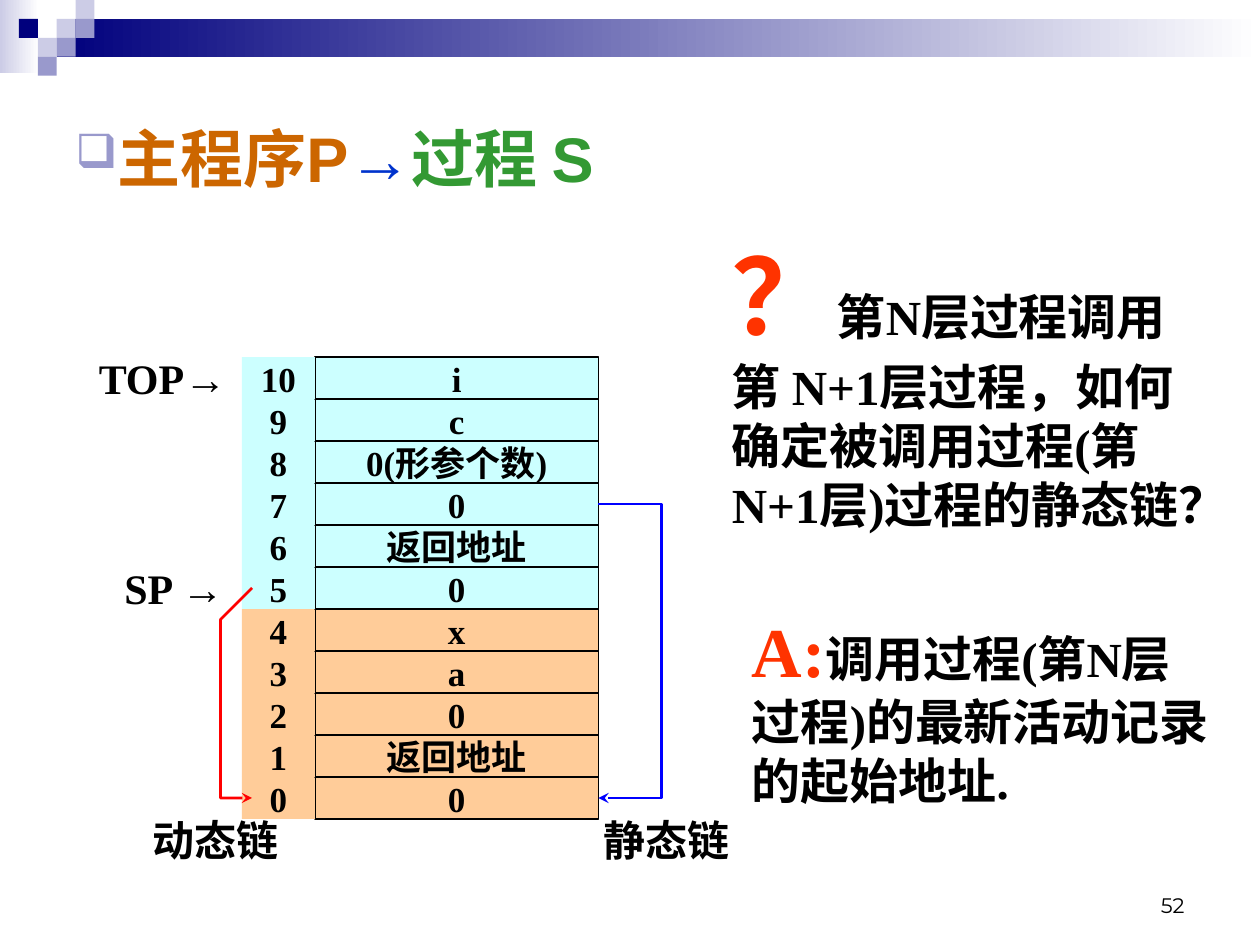
from dataclasses import dataclass

from lxml import etree
from pptx import Presentation
from pptx.dml.color import RGBColor
from pptx.enum.shapes import MSO_SHAPE
from pptx.enum.text import MSO_ANCHOR as ANCHOR, PP_ALIGN as ALIGN
from pptx.oxml.ns import qn
from pptx.util import Inches, Pt


@dataclass(frozen=True)
class Theme:
    serif: str = "Times New Roman"
    sans: str = "Arial"
    number: str = "Montserrat"
    navy: str = "00007D"
    violet: str = "9999CC"
    lilac: str = "CCCCE6"
    white: str = "FFFFFF"
    black: str = "000000"
    main: str = "FFCC99"
    callee: str = "CCFFFF"
    brown: str = "CC6600"
    blue: str = "0033CC"
    green: str = "339933"
    accent: str = "FF3300"
    dynamic: str = "FF0000"
    static: str = "0000FF"
    title: int = 36
    mark: int = 60
    answer: int = 40
    body: int = 28
    label: int = 24
    cell: int = 20
    small: int = 12


T = Theme()

# Content: a run is (text, size, font, colour, bold)
TITLE = [("主程序P", T.title, T.sans, T.brown, True),
         ("→", T.title, T.sans, T.blue, True),
         ("过程 S", T.title, T.sans, T.green, True)]
QUESTION = [("？", T.mark, T.serif, T.accent, True),
            ("第N层过程调用第 N+1层过程，如何确定被调用过程(第 N+1层)过程的静态链？",
             T.body, T.serif, T.black, True)]
ANSWER = [("A:", T.answer, T.serif, T.accent, True),
          ("调用过程(第N层过程)的最新活动记录的起始地址.",
           T.body, T.serif, T.black, True)]
PAGE = [("52", T.small, T.number, T.black, False)]

# Stack contents, address 0 first
RECORDS = [(T.main, ["0", "返回地址", "0", "a", "x"]),
           (T.callee, ["0", "返回地址", "0", "0(形参个数)", "c", "i"])]

# Labels: left, stack address whose row they share, text, arrow
LABELS = [(0.67, 5, "SP ", "→"), (0.58, 10, "TOP", "→"),
          (1.0, -1, "动态链", ""), (4.58, -1, "静态链", "")]

# Corner squares: column, row, colour on a 0.15 inch grid
SQUARE = 0.15
SQUARES = [(3, 1, T.lilac), (4, 0, T.lilac), (4, 1, T.violet),
           (2, 2, T.lilac), (1, 1, T.navy), (3, 2, T.violet),
           (2, 3, T.violet)]
BANDS = [(0, 0, 0.31, 0.58, T.lilac), (0.45, 0.15, 9.55, 0.3, T.navy)]

# Stack geometry
ROW_H = 1 / 3
STACK_BOTTOM = 6.5
ADDR_X, VALUE_X, VALUE_W = 1.92, 2.5, 2.25
VALUE_RIGHT = VALUE_X + VALUE_W

prs = Presentation()
prs.slide_width, prs.slide_height = Inches(10), Inches(7.5)
shapes = prs.slides.add_slide(prs.slide_layouts[6]).shapes


def row_top(address):
    return STACK_BOTTOM - (address + 1) * ROW_H


def row_middle(address):
    return row_top(address) + ROW_H / 2


def rect(x, y, w, h, fill, line=None):
    sp = shapes.add_shape(MSO_SHAPE.RECTANGLE, *map(Inches, (x, y, w, h)))
    sp.shadow.inherit = False
    if isinstance(fill, tuple):
        sp.fill.gradient()
        sp.fill.gradient_angle = 0
        for stop, color in zip(sp.fill.gradient_stops, fill):
            stop.color.rgb = RGBColor.from_string(color)
    else:
        sp.fill.solid()
        sp.fill.fore_color.rgb = RGBColor.from_string(fill)
    if line:
        sp.line.color.rgb = RGBColor.from_string(line)
        sp.line.width = Pt(1)
    else:
        sp.line.fill.background()
    return sp


def write(sp, runs, align=ALIGN.LEFT, anchor=ANCHOR.TOP, wrap=True, pad=0.05):
    tf = sp.text_frame
    tf.word_wrap = wrap
    tf.vertical_anchor = anchor
    tf.margin_left = tf.margin_right = Inches(0.1)
    tf.margin_top = tf.margin_bottom = Inches(pad)
    p = tf.paragraphs[0]
    p.alignment = align
    for text, size, font, color, bold in runs:
        r = p.add_run()
        r.text = text
        r.font.size, r.font.name, r.font.bold = Pt(size), font, bold
        r.font.color.rgb = RGBColor.from_string(color)
    return p


def textbox(x, y, w, h, runs, **options):
    return write(shapes.add_textbox(*map(Inches, (x, y, w, h))), runs, **options)


def add_bullet(p, char, color, percent):
    pPr = p._p.get_or_add_pPr()
    pPr.set("marL", "0")
    pPr.set("indent", "0")
    clr = etree.SubElement(pPr, qn("a:buClr"))
    etree.SubElement(clr, qn("a:srgbClr"), val=color)
    etree.SubElement(pPr, qn("a:buSzPct"), val=str(percent * 1000))
    etree.SubElement(pPr, qn("a:buChar"), char=char)


def link(points, color):
    start, *rest = [(Inches(x), Inches(y)) for x, y in points]
    builder = shapes.build_freeform(*start)
    builder.add_line_segments(rest, close=False)
    sp = builder.convert_to_shape()
    sp.shadow.inherit = False
    sp.fill.background()
    sp.line.color.rgb = RGBColor.from_string(color)
    sp.line.width = Pt(1.5)
    etree.SubElement(sp.line._get_or_add_ln(), qn("a:tailEnd"), type="stealth")


# Header decoration
for x, y, w, h, color in BANDS:
    rect(x, y, w, h, (color, T.white))
for col, row, color in SQUARES:
    rect(col * SQUARE, row * SQUARE, SQUARE, SQUARE, color)

# Stack, from the bottom up
slots = [(fill, value) for fill, values in RECORDS for value in values]
for address, (fill, value) in enumerate(slots):
    for x, w, text, line in ((VALUE_X, VALUE_W, value, T.black),
                             (ADDR_X, VALUE_X - ADDR_X, str(address), None)):
        write(rect(x, row_top(address), w, ROW_H, fill, line),
              [(text, T.cell, T.serif, T.black, True)],
              align=ALIGN.CENTER, anchor=ANCHOR.MIDDLE, wrap=False, pad=0)

# Pointer and link labels
for x, address, text, arrow in LABELS:
    runs = [(text, T.label, T.serif, T.black, True)]
    if arrow:
        runs.append((arrow, T.label, T.sans, T.black, True))
    textbox(x, row_top(address), 1.42, ROW_H, runs,
            align=ALIGN.CENTER, anchor=ANCHOR.MIDDLE, wrap=False)

# Dynamic and static links
link([(2, row_middle(5)), (1.75, row_middle(5) + 0.25),
      (1.75, row_middle(0)), (2, row_middle(0))], T.dynamic)
link([(VALUE_RIGHT, row_middle(7)), (VALUE_RIGHT + 0.5, row_middle(7)),
      (VALUE_RIGHT + 0.5, row_middle(0)), (VALUE_RIGHT, row_middle(0))], T.static)

# Title, question, answer and page number
add_bullet(textbox(0.5, 0.5, 9, 1.5, TITLE, anchor=ANCHOR.MIDDLE),
           "❑", T.violet, 75)
textbox(5.71, 1.78, 4.02, 2.97, QUESTION)
textbox(5.87, 4.77, 3.86, 1.7, ANSWER)
textbox(7.17, 6.83, 2.33, 0.5, PAGE, align=ALIGN.RIGHT, anchor=ANCHOR.BOTTOM)

prs.save("out.pptx")
